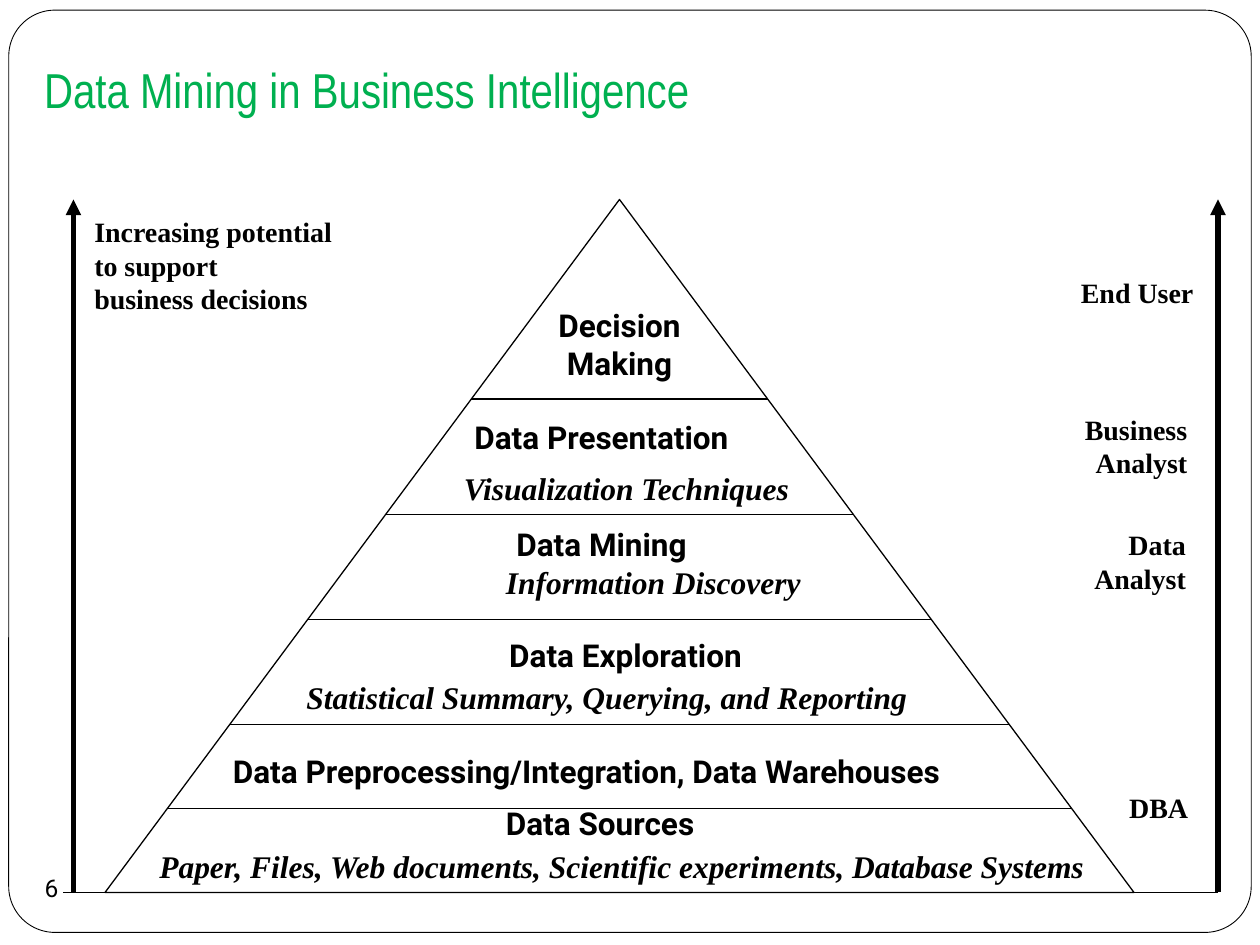
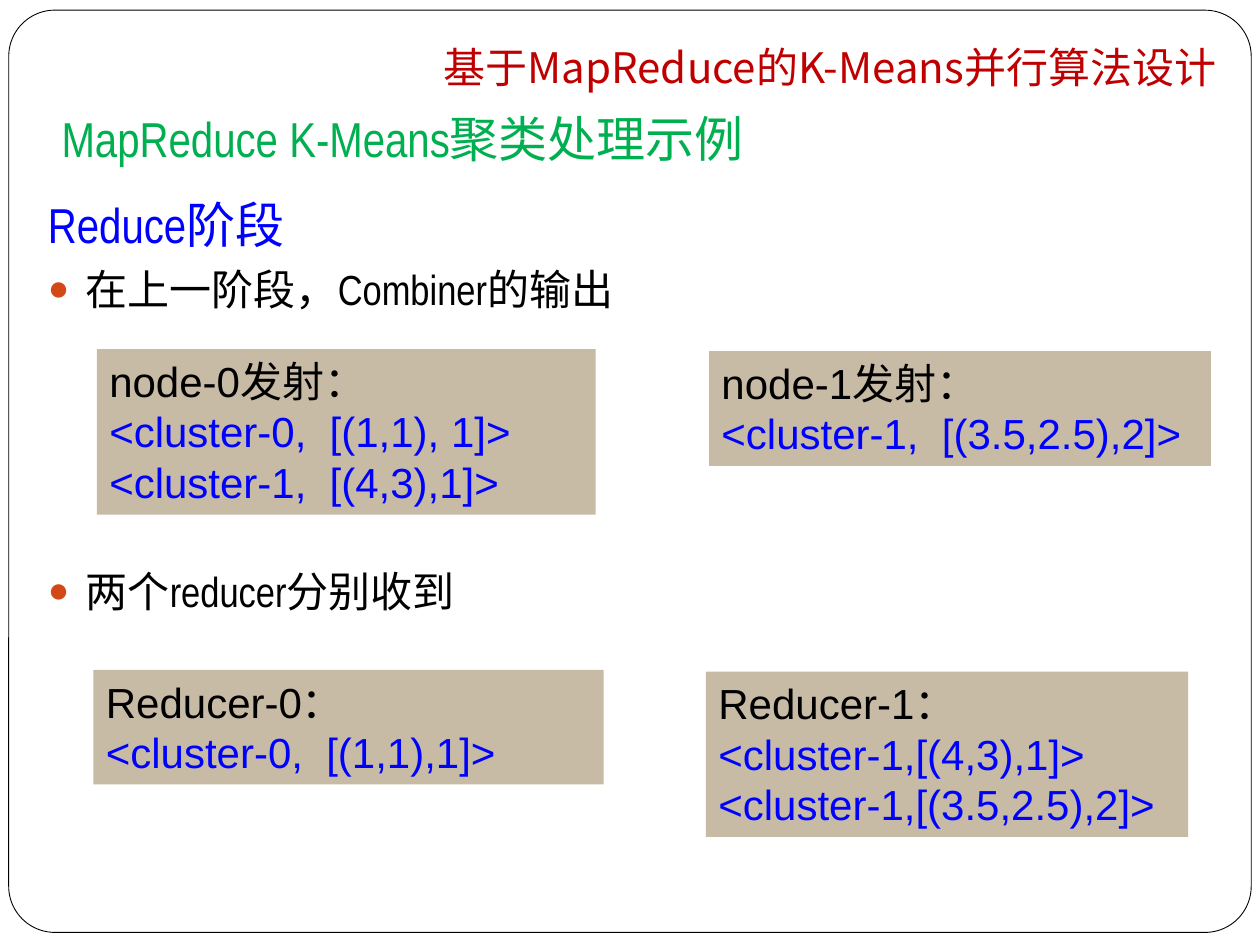
from pptx import Presentation
from pptx.dml.color import RGBColor
from pptx.enum.shapes import MSO_CONNECTOR, MSO_SHAPE
from pptx.enum.text import MSO_ANCHOR, MSO_AUTO_SIZE, PP_ALIGN
from pptx.oxml import parse_xml
from pptx.oxml.ns import nsdecls, qn
from pptx.util import Pt

LEFT, CENTER, RIGHT = PP_ALIGN.LEFT, PP_ALIGN.CENTER, PP_ALIGN.RIGHT
TOP, MIDDLE, BOTTOM = MSO_ANCHOR.TOP, MSO_ANCHOR.MIDDLE, MSO_ANCHOR.BOTTOM

BLACK = RGBColor(0x00, 0x00, 0x00)
WHITE = RGBColor(0xFF, 0xFF, 0xFF)
GREEN = RGBColor(0x00, 0xB0, 0x50)
BLUE = RGBColor(0x00, 0x00, 0xFF)
RED = RGBColor(0xC0, 0x00, 0x00)
ORANGE = RGBColor(0xD3, 0x48, 0x17)
TAN = RGBColor(0xC7, 0xBB, 0xA6)

SANS, NARROW, SERIF = "Arial", "Arial Narrow", "Times New Roman"
ROBOTO, CHINESE = "Roboto", "Noto Sans CJK SC"

# Content: pyramid slide
PYRAMID_TITLE = "Data Mining in Business Intelligence"
PAGE_NUMBER = "6"
APEX_X, APEX_Y, BASE_Y, HALF_BASE = 354, 114, 510, 294
DIVIDER_HEIGHTS = [228, 294, 354, 414, 462]
ARROW_POSITIONS = [42, 696]
BASELINE_START = 36
# text, left, top, width, alignment
TIER_NAMES = [
    ("Decision Making", 306, 171.4, 96, CENTER),
    ("Data Presentation", 264, 235.4, 180, LEFT),
    ("Data Mining", 288, 296.6, 140, LEFT),
    ("Data Exploration", 265, 360, 185, CENTER),
    ("Data Preprocessing/Integration, Data Warehouses", 126, 426, 475, LEFT),
    ("Data Sources", 282, 455.8, 134, LEFT),
]
TIER_DETAILS = [
    ("Visualization Techniques", 258, 264.2, 210, LEFT),
    ("Information Discovery", 282, 318.2, 190, LEFT),
    ("Statistical Summary, Querying, and Reporting", 168, 383.8, 375, LEFT),
    ("Paper, Files, Web documents, Scientific experiments, Database Systems",
     84, 480.2, 565, LEFT),
]
POTENTIAL = "Increasing potential\nto support\nbusiness decisions"
# text, right edge, top
ROLES = [
    ("End User", 689, 154),
    ("Business\nAnalyst", 685.5, 232),
    ("Data\nAnalyst", 684.7, 298),
    ("DBA", 686, 448),
]
ROLE_WIDTH = 110

# Content: MapReduce slide
CHAPTER = "基于MapReduce的K-Means并行算法设计"
EXAMPLE_TITLE = "MapReduce K-Means聚类处理示例"
STAGE = "Reduce阶段"
# text, space before
STEPS = [("在上一阶段，Combiner的输出", 5.8), ("两个reducer分别收到", 144)]
# heading, records, left, top, width
OUTPUTS = [
    ("node-0发射：", ["<cluster-0,  [(1,1), 1]>", "<cluster-1,  [(4,3),1]>"],
     55.4, 199.6, 285),
    ("node-1发射：", ["<cluster-1,  [(3.5,2.5),2]>"], 405.2, 200.7, 286.8),
    ("Reducer-0：", ["<cluster-0,  [(1,1),1]>"], 53.4, 382.8, 291.5),
    ("Reducer-1：", ["<cluster-1,[(4,3),1]>", "<cluster-1,[(3.5,2.5),2]>"],
     403.4, 383.8, 275.6),
]
LINE_HEIGHT, BOX_PADDING = 29, 7.5


def place(shape, left, top, width, height):
    shape.left, shape.top = Pt(left), Pt(top)
    shape.width, shape.height = Pt(width), Pt(height)


def style(paragraph, font_name, size, color, bold=False, italic=False):
    for run in paragraph.runs:
        font = run.font
        font.name, font.size, font.color.rgb = font_name, Pt(size), color
        font.bold, font.italic = bold, italic


def add_shape(slide, kind, left, top, width, height, fill=None, line=None):
    shape = slide.shapes.add_shape(kind, Pt(left), Pt(top), Pt(width), Pt(height))
    shape.shadow.inherit = False
    if fill is None:
        shape.fill.background()
    else:
        shape.fill.solid()
        shape.fill.fore_color.rgb = fill
    if line is None:
        shape.line.fill.background()
    else:
        shape.line.color.rgb, shape.line.width = BLACK, Pt(line)
    return shape


def add_text(slide, text, left, top, width, height, font_name, size, color=BLACK,
             bold=False, italic=False, align=LEFT, anchor=TOP):
    box = slide.shapes.add_textbox(Pt(left), Pt(top), Pt(width), Pt(height))
    frame = box.text_frame
    frame.word_wrap, frame.vertical_anchor = True, anchor
    frame.text = text
    for paragraph in frame.paragraphs:
        paragraph.alignment = align
        style(paragraph, font_name, size, color, bold, italic)
    return box


def add_line(slide, x1, y1, x2, y2, width=0.75, arrow=False):
    connector = slide.shapes.add_connector(
        MSO_CONNECTOR.STRAIGHT, Pt(x1), Pt(y1), Pt(x2), Pt(y2))
    connector.line.color.rgb, connector.line.width = BLACK, Pt(width)
    properties = connector.element.spPr
    if arrow:
        properties.find(qn("a:ln")).append(
            parse_xml(f'<a:tailEnd {nsdecls("a")} type="triangle"/>'))
    properties.append(parse_xml(f'<a:effectLst {nsdecls("a")}/>'))


def set_title(slide, text, left, top, width, height):
    title = slide.shapes.title
    place(title, left, top, width, height)
    frame = title.text_frame
    frame.text = text
    frame.auto_size, frame.vertical_anchor = MSO_AUTO_SIZE.NONE, MIDDLE
    frame.paragraphs[0].alignment = LEFT
    style(frame.paragraphs[0], NARROW, 28, GREEN)


def set_bullet(paragraph, bulleted):
    properties = paragraph._p.get_or_add_pPr()
    properties.set("marL", str(Pt(21.6)))
    properties.set("indent", str(Pt(-21.6)))
    marks = ['<a:buNone {}/>']
    if bulleted:
        marks = [f'<a:buClr {{}}><a:srgbClr val="{ORANGE}"/></a:buClr>',
                 '<a:buSzPct {} val="85000"/>', '<a:buChar {} char="●"/>']
    for mark in marks:
        properties.append(parse_xml(mark.format(nsdecls("a"))))


def add_master_frame(presentation, slide):
    frame = add_shape(slide, MSO_SHAPE.ROUNDED_RECTANGLE, 5, 5.8, 710, 527,
                      WHITE, 0.5)
    frame.adjustments[0] = 0.05
    presentation.slide_master.shapes.element.insert(2, frame.element)


def build_pyramid(slide):
    set_title(slide, PYRAMID_TITLE, 18, 30.2, 684, 41.8)
    add_text(slide, PAGE_NUMBER, 11.5, 489, 36, 36, ROBOTO, 14,
             align=CENTER, anchor=MIDDLE)

    # Pyramid and its tiers
    add_shape(slide, MSO_SHAPE.FLOWCHART_EXTRACT, APEX_X - HALF_BASE, APEX_Y,
              2 * HALF_BASE, BASE_Y - APEX_Y, line=0.75)
    for y in DIVIDER_HEIGHTS:
        half = HALF_BASE * (y - APEX_Y) / (BASE_Y - APEX_Y)
        add_line(slide, APEX_X - half, y, APEX_X + half, y)
    for text, left, top, width, align in TIER_NAMES:
        add_text(slide, text, left, top, width, 29, ROBOTO, 18,
                 bold=True, align=align)
    for text, left, top, width, align in TIER_DETAILS:
        add_text(slide, text, left, top, width, 29, SERIF, 18,
                 bold=True, italic=True, align=align)

    # Side arrows, baseline and labels
    for x in ARROW_POSITIONS:
        add_line(slide, x, BASE_Y, x, APEX_Y, 3, arrow=True)
    add_line(slide, BASELINE_START, BASE_Y, ARROW_POSITIONS[-1], BASE_Y)
    add_text(slide, POTENTIAL, 46.8, 119, 165, 65, SERIF, 16, bold=True)
    for text, right, top in ROLES:
        add_text(slide, text, right - ROLE_WIDTH, top, ROLE_WIDTH, 27, SERIF, 16,
                 bold=True, align=RIGHT)


def build_example(slide):
    set_title(slide, EXAMPLE_TITLE, 28, 58.3, 464, 41)
    chapter = add_text(slide, CHAPTER, 91.4, 12.2, 610.6, 47.5, CHINESE, 24, RED,
                       align=RIGHT, anchor=BOTTOM)
    chapter.text_frame.margin_bottom = Pt(7.2)
    chapter.text_frame.paragraphs[0].line_spacing = 1.2

    # Stage heading and steps
    body = slide.placeholders[1]
    place(body, 20.2, 107.3, 686, 399)
    frame = body.text_frame
    frame.text = "\n".join([STAGE] + [text for text, _ in STEPS])
    frame.auto_size = MSO_AUTO_SIZE.NONE
    heading, *steps = frame.paragraphs
    set_bullet(heading, False)
    heading.space_before = Pt(0)
    style(heading, NARROW, 28, BLUE)
    for paragraph, (_, gap) in zip(steps, STEPS):
        set_bullet(paragraph, True)
        paragraph.space_before = Pt(gap)
        style(paragraph, NARROW, 24, BLACK)

    # Output boxes
    for name, records, left, top, width in OUTPUTS:
        height = LINE_HEIGHT * (1 + len(records)) + BOX_PADDING
        box = add_shape(slide, MSO_SHAPE.RECTANGLE, left, top, width, height, TAN)
        frame = box.text_frame
        frame.word_wrap, frame.vertical_anchor = True, TOP
        frame.text = "\n".join([name] + records)
        for index, paragraph in enumerate(frame.paragraphs):
            paragraph.alignment = LEFT
            style(paragraph, SANS, 24, BLUE if index else BLACK)


def main():
    presentation = Presentation()
    presentation.slide_width, presentation.slide_height = Pt(720), Pt(540)
    content_layout, title_layout = (presentation.slide_layouts[i] for i in (1, 5))
    pyramid_slide = presentation.slides.add_slide(title_layout)
    add_master_frame(presentation, pyramid_slide)
    build_pyramid(pyramid_slide)
    build_example(presentation.slides.add_slide(content_layout))
    presentation.save("out.pptx")


if __name__ == "__main__":
    main()
